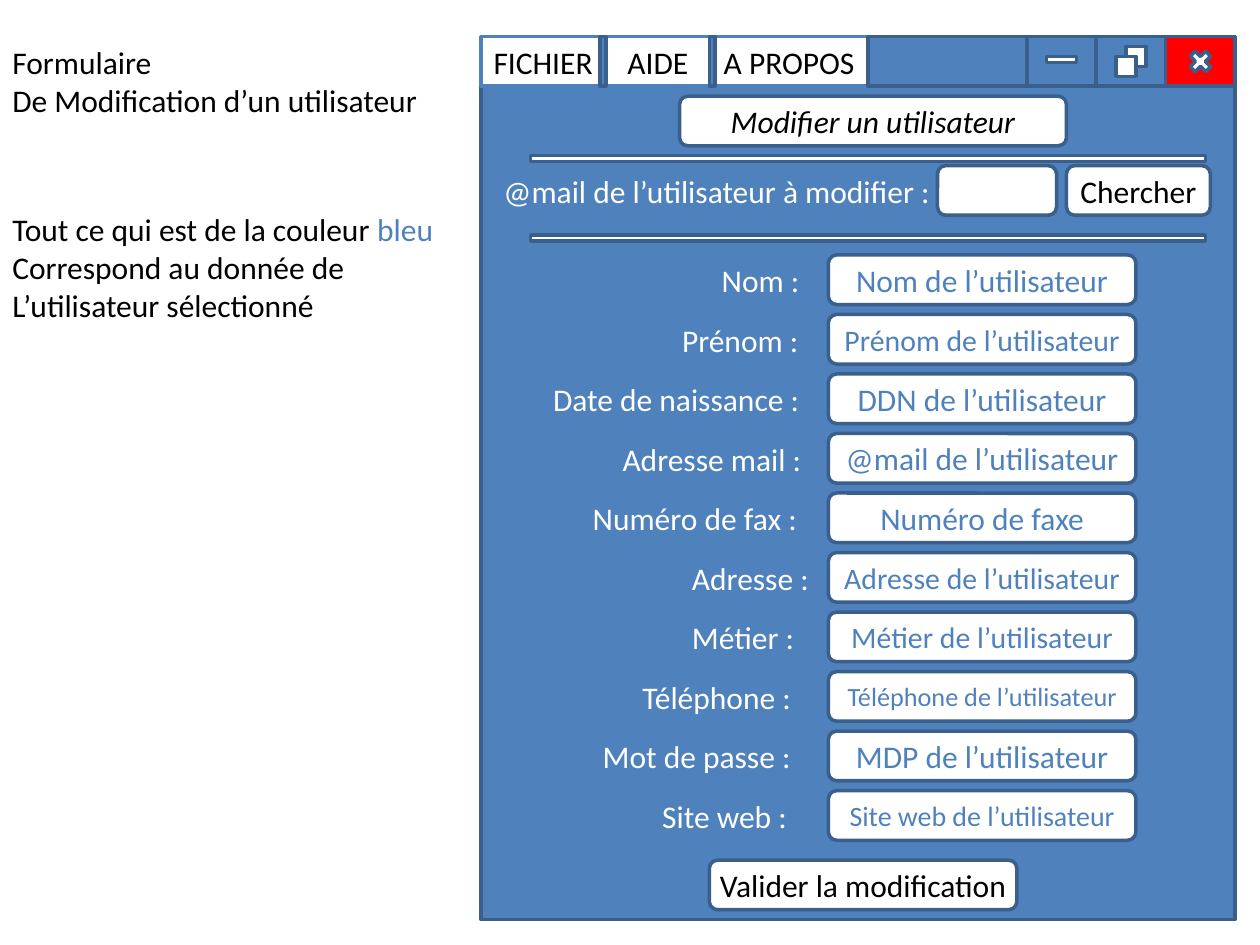
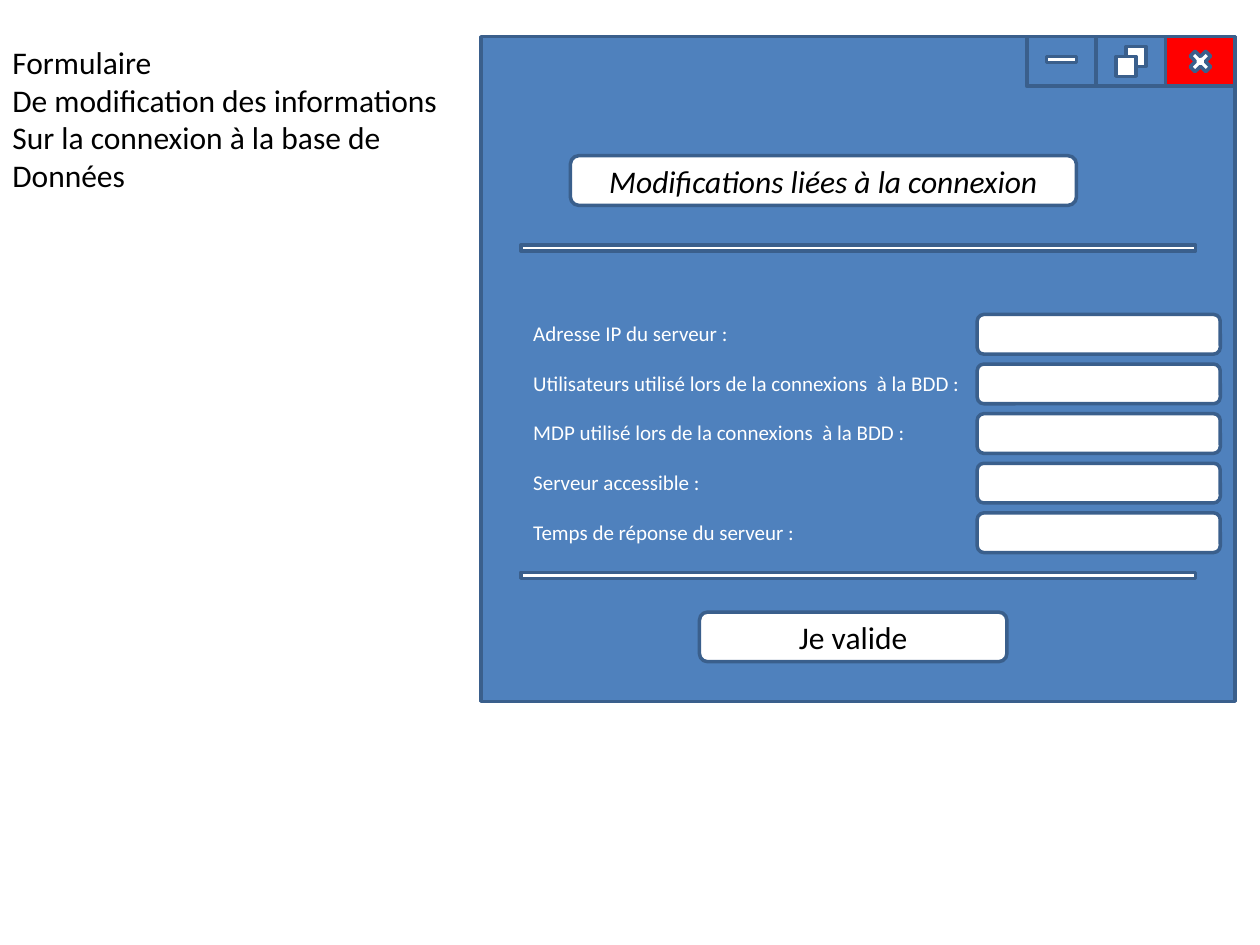
from lxml import etree
from pptx import Presentation
from pptx.dml.color import RGBColor
from pptx.enum import shapes, text
from pptx.oxml.ns import qn
from pptx.util import Cm, Pt

COLORS = {"blue": "4F81BD", "edge": "3A5F8C", "white": "FFFFFF",
          "black": "000000", "red": "FF0000"}
FONT = "Calibri"
RECT = shapes.MSO_SHAPE.RECTANGLE
ROUNDED = shapes.MSO_SHAPE.ROUNDED_RECTANGLE
CROSS = shapes.MSO_SHAPE.MATH_MULTIPLY

WINDOW_LEFT, WINDOW_TOP, WINDOW_WIDTH = 9.7, 0.74, 15.2
BAR_HEIGHT = 1.0
CONTROL_WIDTH = 1.4
THIN = 0.12

# label, left edge of the label, value shown, size of the value
USER_ROWS = [
    ("Nom :", 4.6, "Nom de l’utilisateur", 18),
    ("Prénom :", 3.8, "Prénom de l’utilisateur", 17),
    ("Date de naissance :", 1.2, "DDN de l’utilisateur", 18),
    ("Adresse mail :", 2.6, "@mail de l’utilisateur", 18),
    ("Numéro de fax :", 2.0, "Numéro de faxe", 18),
    ("Adresse :", 4.0, "Adresse de l’utilisateur", 17),
    ("Métier :", 4.0, "Métier de l’utilisateur", 17),
    ("Téléphone :", 3.0, "Téléphone de l’utilisateur", 15),
    ("Mot de passe :", 2.2, "MDP de l’utilisateur", 18),
    ("Site web :", 3.4, "Site web de l’utilisateur", 16),
]
SERVER_LABELS = [
    "Adresse IP du serveur :",
    "Utilisateurs utilisé lors de la connexions  à la BDD :",
    "MDP utilisé lors de la connexions  à la BDD :",
    "Serveur accessible :",
    "Temps de réponse du serveur :",
]


def rgb(name):
    return RGBColor.from_string(COLORS[name])


def style(paragraph, size, color, italic=False):
    font = paragraph.font
    font.name, font.size, font.italic = FONT, Pt(size), italic
    font.color.rgb = rgb(color)


class Window:
    """Places parts in cm, measured from the window's top left corner."""

    def __init__(self, slide, height):
        self.slide = slide
        self.box(0, 0, WINDOW_WIDTH, height, "blue")

    def place(self, x, y, width, height):
        return Cm(WINDOW_LEFT + x), Cm(WINDOW_TOP + y), Cm(width), Cm(height)

    def box(self, x, y, width, height, fill="white", line="edge", kind=RECT):
        shape = self.slide.shapes.add_shape(kind, *self.place(x, y, width, height))
        shape.shadow.inherit = False
        shape.fill.solid()
        shape.fill.fore_color.rgb = rgb(fill)
        shape.line.color.rgb = rgb(line)
        shape.line.width = Pt(2)
        return shape

    def field(self, x, y, width, height=1.0, caption="", size=18,
              color="black", italic=False):
        """Rounded white field or button, with its caption centred."""
        shape = self.box(x, y, width, height, kind=ROUNDED)
        if caption:
            frame = shape.text_frame
            frame.margin_left = frame.margin_right = 0
            frame.word_wrap = True
            frame.vertical_anchor = text.MSO_ANCHOR.MIDDLE
            paragraph = frame.paragraphs[0]
            paragraph.text = caption
            paragraph.alignment = text.PP_ALIGN.CENTER
            style(paragraph, size, color, italic)

    def label(self, x, y, width, caption, size=18, color="white", tabs=()):
        textbox = self.slide.shapes.add_textbox(*self.place(x, y, width, 1.0))
        textbox.text_frame.word_wrap = True
        paragraph = textbox.text_frame.paragraphs[0]
        paragraph.text = caption
        if tabs:
            stops = etree.SubElement(paragraph._p.get_or_add_pPr(), qn("a:tabLst"))
            for stop in tabs:
                etree.SubElement(stops, qn("a:tab"), pos=str(Cm(stop)), algn="l")
        style(paragraph, size, color)

    def separator(self, x, y):
        self.box(x, y, 13.6, THIN)

    def controls(self):
        """Minimise, restore and close buttons."""
        left = WINDOW_WIDTH - 3 * CONTROL_WIDTH
        for i, fill in enumerate(("blue", "blue", "red")):
            self.box(left + i * CONTROL_WIDTH, 0, CONTROL_WIDTH, BAR_HEIGHT, fill)
        self.box(left + 0.4, 0.4, 0.6, THIN)
        self.box(left + 2.0, 0.2, 0.4, 0.4)
        self.box(left + 1.8, 0.4, 0.4, 0.4)
        self.box(left + 3.2, 0.2, 0.6, 0.6, kind=CROSS)

    def menu(self):
        self.box(0, 0, WINDOW_WIDTH, BAR_HEIGHT, line="blue")
        self.label(0, 0, 11.0, "FICHIER\tAIDE\tA PROPOS", color="black",
                   tabs=(2.7, 4.64))
        for x, width in ((7.8, 3.2), (2.4, THIN), (4.6, THIN)):
            self.box(x, 0, width, BAR_HEIGHT, "blue")


def add_note(slide, top, lines):
    """Black remark left of the window; a line is a list of (words, colour)."""
    textbox = slide.shapes.add_textbox(0, Cm(top), Cm(9.6), Cm(0.3 + 0.76 * len(lines)))
    frame = textbox.text_frame
    frame.word_wrap = True
    for i, line in enumerate(lines):
        paragraph = frame.add_paragraph() if i else frame.paragraphs[0]
        style(paragraph, 18, "black")
        for words, color in line:
            run = paragraph.add_run()
            run.text = words
            run.font.color.rgb = rgb(color)


def black(*lines):
    return [[(line, "black")] for line in lines]


def user_slide(slide):
    window = Window(slide, 17.8)
    window.menu()
    window.controls()
    window.field(4.0, 1.2, 7.8, caption="Modifier un utilisateur", italic=True)

    window.label(0.2, 2.6, 9.4, "@mail de l’utilisateur à modifier :")
    window.field(9.2, 2.6, 2.4)
    window.field(11.8, 2.6, 2.9, caption="Chercher")
    for y in (2.4, 4.0):
        window.separator(1.0, y)

    field_left = 7.0
    for i, (caption, left, value, size) in enumerate(USER_ROWS):
        y = 4.4 + 1.2 * i
        window.label(left, y, field_left - left, caption)
        window.field(field_left, y, 6.2, caption=value, size=size, color="blue")
    window.field(4.6, 16.6, 6.2, caption="Valider la modification")

    add_note(slide, WINDOW_TOP, black("Formulaire", "De Modification d’un utilisateur"))
    add_note(slide, 4.11, [
        [("Tout ce qui est de la couleur ", "black"), ("bleu", "blue")],
        *black("Correspond au donnée de", "L’utilisateur sélectionné")])


def connection_slide(slide):
    window = Window(slide, 13.4)
    window.controls()
    window.field(1.8, 2.4, 10.2, caption="Modifications liées à la connexion",
                 italic=True)
    for y in (4.2, 10.8):
        window.separator(0.8, y)
    for i, caption in enumerate(SERVER_LABELS):
        y = 5.6 + i
        window.label(0.8, y, 9.3, caption, size=12)
        window.field(10.0, y, 4.9, 0.8)
    window.field(4.4, 11.6, 6.2, caption="Je valide")

    add_note(slide, WINDOW_TOP, black(
        "Formulaire", "De modification des informations",
        "Sur la connexion à la base de", "Données"))


def main():
    deck = Presentation()
    deck.slide_width, deck.slide_height = Cm(25.4), Cm(19.05)
    for build in (user_slide, connection_slide):
        build(deck.slides.add_slide(deck.slide_layouts[6]))
    deck.save("out.pptx")


if __name__ == "__main__":
    main()
